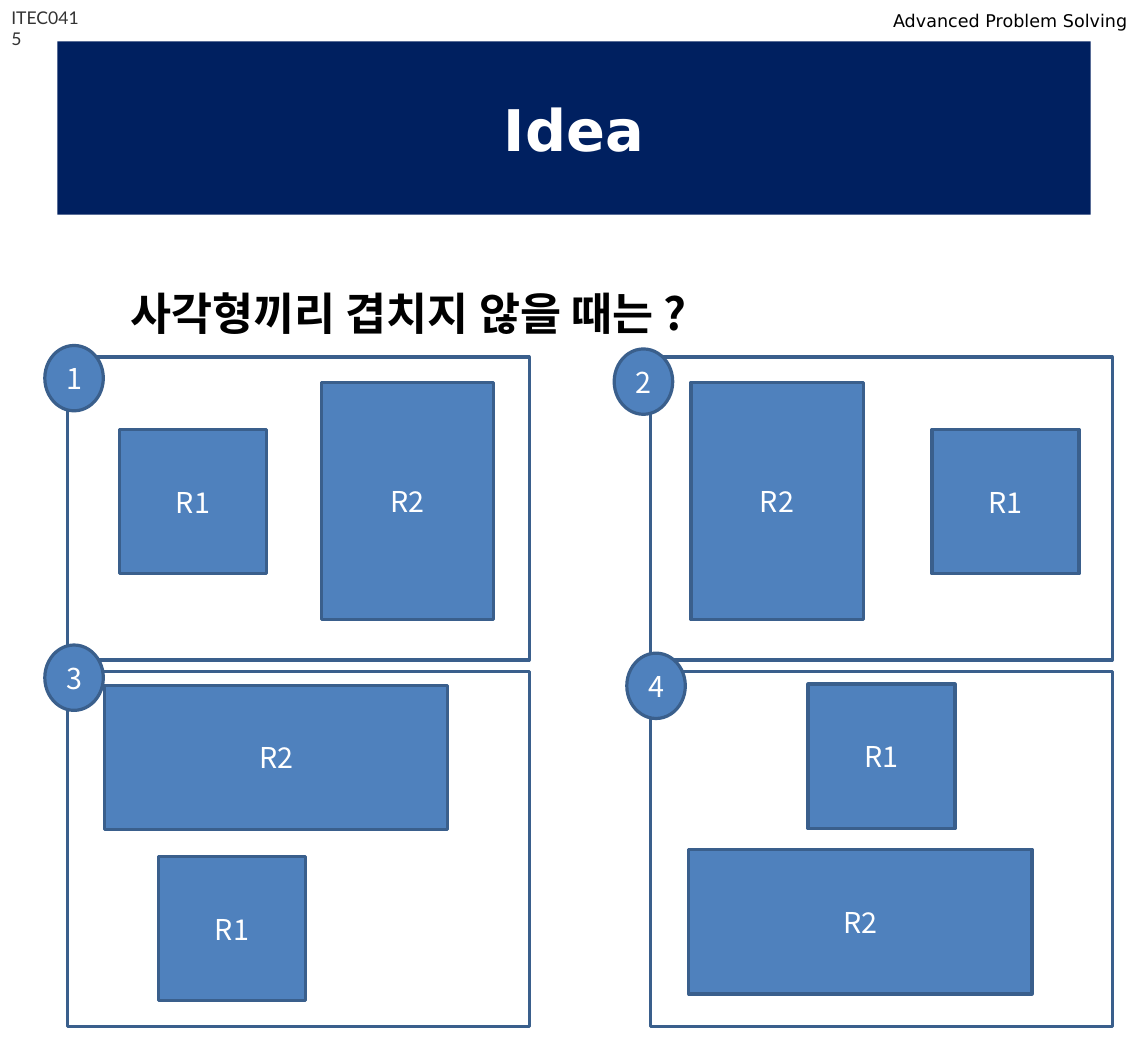
from lxml.etree import SubElement
from pptx import Presentation
from pptx.dml.color import RGBColor as Rgb
from pptx.enum.shapes import MSO_SHAPE as Preset
from pptx.enum.text import MSO_ANCHOR as Anchor, PP_ALIGN as Align
from pptx.oxml.ns import qn
from pptx.util import Pt

COLORS = {"navy": "002060", "blue": "4F81BD", "edge": "3A5F8C",
          "white": "FFFFFF", "black": "000000", "gray": "333333"}
SANS, LATO, KOREAN = "DejaVu Sans", "Lato", "Noto Sans CJK KR"

R1_SIZE, R2_TALL, R2_WIDE = (92.2, 90.7), (108, 149), (215.3, 90.7)
BADGE_SIZE = (36.7, 41)
PANEL_WIDTH = 289.4
COLUMNS = (42.5, 408.2)
ROWS = ((223.9, 190.1), (421.2, 222.5))  # top, height

# Offsets from the panel corner: R1, R2, R2 size, badge
CASES = [
    ((32.4, 45.4), (159.1, 15.8), R2_TALL, (-14.4, -7.2)),
    ((176.4, 45.4), (25.2, 15.8), R2_TALL, (-23, -5)),
    ((56.9, 115.9), (23, 8.6), R2_WIDE, (-14.4, -16.6)),
    ((98.6, 7.9), (23.8, 111.6), R2_WIDE, (-15.1, -11.5)),
]


def color(name):
    """Return a palette colour."""
    return Rgb.from_string(COLORS[name])


def add_run(paragraph, text, size, font, ink, bold=False):
    """Add one formatted run, with its font for Korean script too."""
    run = paragraph.add_run()
    run.text = text
    run.font.size, run.font.name, run.font.bold = Pt(size), font, bold
    run.font.color.rgb = color(ink)
    SubElement(run.font._element, qn("a:ea")).set("typeface", font)


def add_title(slide, box, text):
    """Place the title placeholder as a navy band."""
    title = slide.shapes.title
    title.left, title.top, title.width, title.height = map(Pt, box)
    title.fill.solid()
    title.fill.fore_color.rgb = color("navy")
    frame = title.text_frame
    frame.vertical_anchor = Anchor.MIDDLE
    frame.paragraphs[0].alignment = Align.CENTER
    add_run(frame.paragraphs[0], text, 36, SANS, "white", True)


def add_label(slide, box, text, *style):
    """Place a wrapping text box with one run."""
    frame = slide.shapes.add_textbox(*map(Pt, box)).text_frame
    frame.word_wrap = True
    add_run(frame.paragraphs[0], text, *style)


def add_figure(slide, preset, box, text=None):
    """Draw an outlined shape, filled blue when it carries text."""
    figure = slide.shapes.add_shape(preset, *map(Pt, box))
    figure.shadow.inherit = False
    figure.line.color.rgb = color("edge")
    figure.line.width = Pt(2)
    if text is None:
        figure.fill.background()
        return
    figure.fill.solid()
    figure.fill.fore_color.rgb = color("blue")
    frame = figure.text_frame
    frame.vertical_anchor = Anchor.MIDDLE
    frame.paragraphs[0].alignment = Align.CENTER
    add_run(frame.paragraphs[0], text, 18, KOREAN, "white")


def add_panel(slide, box, number, case):
    """Draw one numbered case of two separate rectangles in its box."""
    left, top = box[:2]
    r1, r2, r2_size, badge = case

    def place(offset, size):
        """Turn an offset in the panel into a box on the slide."""
        return (left + offset[0], top + offset[1], *size)

    add_figure(slide, Preset.RECTANGLE, place(r1, R1_SIZE), "R1")
    add_figure(slide, Preset.RECTANGLE, place(r2, r2_size), "R2")
    add_figure(slide, Preset.RECTANGLE, box)
    add_figure(slide, Preset.OVAL, place(badge, BADGE_SIZE), str(number))


def build():
    """Build and save the slide."""
    deck = Presentation()
    deck.slide_width, deck.slide_height = Pt(720), Pt(652.32)
    slide = deck.slides.add_slide(deck.slide_layouts[5])
    add_title(slide, (36, 26, 648, 108.7), "Idea")
    add_label(slide, (0, 0.7, 56.9, 20.9), "ITEC0415", 11, LATO, "gray")
    add_label(slide, (553, 2.9, 167, 20.9), "Advanced Problem Solving",
              11, SANS, "black")
    add_label(slide, (74.9, 175.7, 555.8, 41),
              "사각형끼리 겹치지 않을 때는 ?", 28, KOREAN, "black", True)
    for index, case in enumerate(CASES):
        row, column = divmod(index, len(COLUMNS))
        top, height = ROWS[row]
        add_panel(slide, (COLUMNS[column], top, PANEL_WIDTH, height),
                  index + 1, case)
    deck.save("out.pptx")


build()
